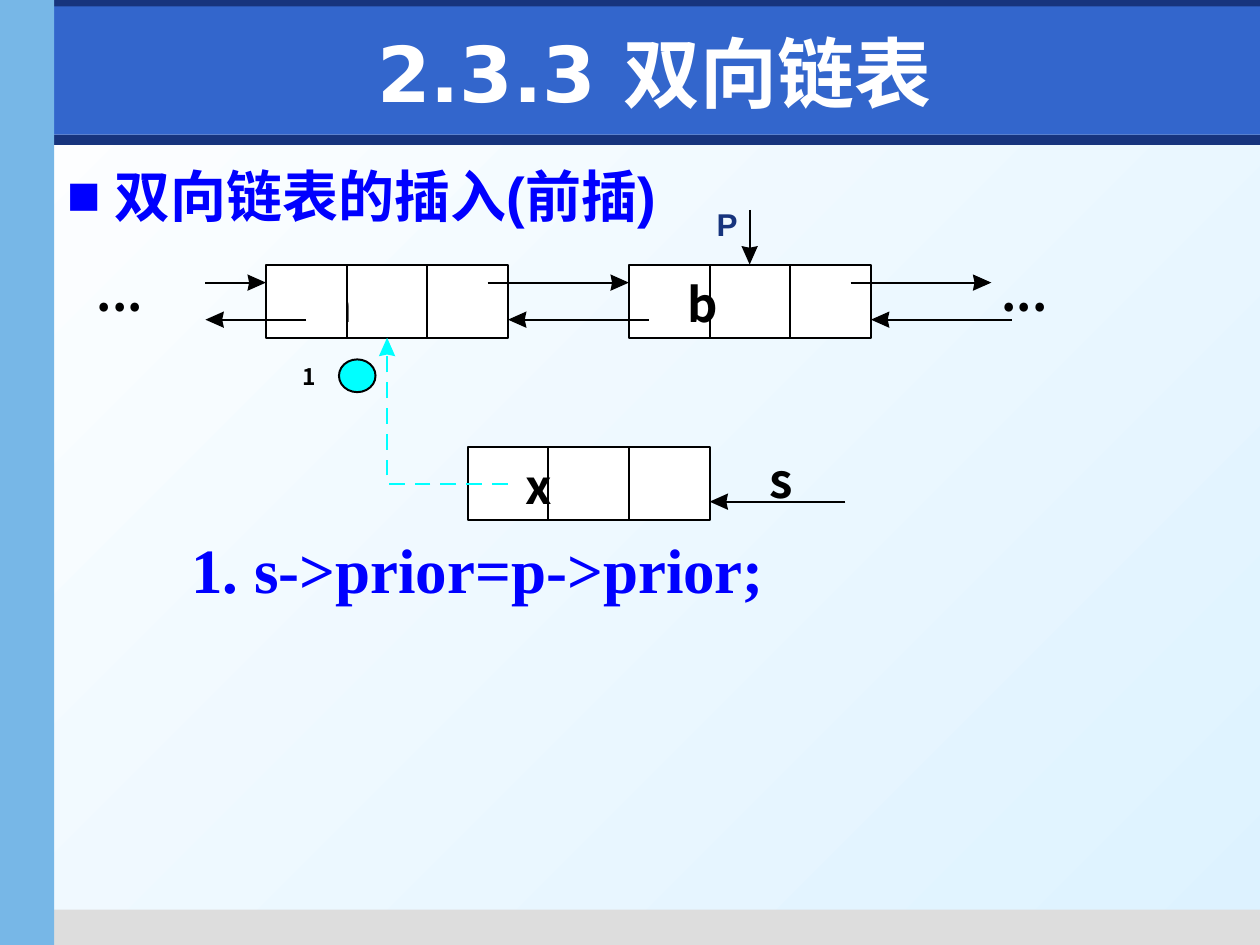
from lxml import etree
from pptx import Presentation
from pptx import util as u
from pptx.dml.color import RGBColor
from pptx.enum import shapes, text
from pptx.oxml import ns

Pt = u.Pt
THEME = {
    "navy": "17347D", "blue": "3366CC", "sky": "77B7E7", "grey": "DDDDDD",
    "ink": "0000FF", "black": "000000", "white": "FFFFFF", "cyan": "00FFFF",
    "pale": "DDF2FF",
    "head": ("DejaVu Sans", 44), "list": ("Arial", 32),
    "code": ("Times New Roman", 36), "label": ("Noto Sans CJK SC", 27),
    "step": ("Noto Sans CJK SC", 13), "mark": ("Arial", 18),
    "asian": "Noto Sans CJK SC", "line": 1.13,
}

TITLE = "2.3.3 双向链表"
TOPIC = "双向链表的插入(前插)"
# left, top, width, height, colour
BARS = [
    (2.9, 77, 717.1, 5.8, "navy"), (25, 519.8, 695, 20.2, "grey"),
    (0, -2, 720, 17, "navy"), (31, 3.6, 689, 73.4, "blue"),
    (0, 0, 31, 540, "sky"),
]
CELL_W, CELL_H = 46.1, 41.8
ROW, LOW, LEFT = 151.2, 255.6, 152
# offset in cells, top, letter, drawing order of cells and letter
NODES = [
    (0, ROW, "a", (1, "letter", 0, 2)),
    (4.5, ROW, "b", (0, 1, "letter", 2)),
    (2.5, LOW, "x", (0, 1, "letter", 2)),
]
NEXT, PRIOR = 161.5, 182.7
# start and tip of each pointer
ARROWS = [
    ((117.4, NEXT), (152, NEXT)), ((175, PRIOR), (117.4, PRIOR)),
    ((278.6, NEXT), (359.4, NEXT)), ((370.8, PRIOR), (290.3, PRIOR)),
    ((486, NEXT), (566.5, NEXT)), ((578.2, PRIOR), (497.7, PRIOR)),
    ((428.4, 120), (428.4, ROW)), ((483.1, 286.7), (405.5, 286.7)),
]
NEW_LINK = [(290.2, 276.4), (221.2, 276.4), (221.2, 200)]
LINK_TIP = (221.2, 193)
STEP = (193.7, 205.4, 20.9, 18.7)
# words, left, top, width, height, style, colour, side and top margin
LABELS = [
    ("1. s->prior=p->prior;", 102.2, 299.5, 342, 50.4, "code", "ink", (7.2, 3.6)),
    ("...", 572.4, ROW, 77, 32.4, "label", "black", (0, 0)),
    ("...", 55.4, ROW, 77, 32.4, "label", "black", (0, 0)),
    ("1", 172.8, 207.4, 61.2, 15.8, "step", "black", (0, 0)),
    ("s", 439.9, 257.8, 67.7, 32.4, "label", "black", (0, 0)),
    ("P", 402.5, 113.8, 25.9, 28.8, "mark", "navy", (7.2, 3.6)),
]


def rgb(name):
    return RGBColor.from_string(THEME[name])


def sub(parent, tag, **attrs):
    return etree.SubElement(parent, ns.qn(tag), attrs)


def write(para, words, style, color):
    run = para.add_run()
    run.text = words
    font = run.font
    font.name, size = THEME[style]
    font.size, font.bold = Pt(size), True
    font.color.rgb = rgb(color)
    sub(font._element, "a:ea", typeface=THEME["asian"])


def paint(shape, fill=None, line=None):
    shape.shadow.inherit = False
    if fill:
        shape.fill.solid()
        shape.fill.fore_color.rgb = rgb(fill)
    else:
        shape.fill.background()
    if line:
        shape.line.color.rgb = rgb(line)
        shape.line.width = Pt(THEME["line"])
    else:
        shape.line.fill.background()


def add_box(slide, kind, box, fill, line=None):
    shape = slide.shapes.add_shape(kind, *map(Pt, box))
    paint(shape, fill, line)


def add_path(slide, dots, closed):
    dots = [(Pt(x), Pt(y)) for x, y in dots]
    path = slide.shapes.build_freeform(*dots[0])
    path.add_line_segments(dots[1:], close=closed)
    return path.convert_to_shape()


def add_head(slide, tip, way, color):
    """Draw a notched arrowhead pointing along the unit vector way."""
    (x, y), (dx, dy) = tip, way
    dots = [(x - back * dx - side * dy, y - back * dy + side * dx)
            for back, side in ((0, 0), (10.6, 4.7), (9.6, 0), (10.6, -4.7))]
    paint(add_path(slide, dots, True), color)


def add_arrow(slide, start, tip):
    gap = [b - a for a, b in zip(start, tip)]
    size = max(map(abs, gap))
    way = [g / size for g in gap]
    end = [t - 8 * w for t, w in zip(tip, way)]
    line = slide.shapes.add_connector(
        shapes.MSO_CONNECTOR.STRAIGHT, *map(Pt, (*start, *end)))
    line.line.color.rgb = rgb("black")
    line.line.width = Pt(THEME["line"])
    sub(line._element.spPr, "a:effectLst")
    add_head(slide, tip, way, "black")


def add_label(slide, words, x, y, w, h, style, color, pad):
    frame = slide.shapes.add_textbox(*map(Pt, (x, y, w, h))).text_frame
    frame.word_wrap = False
    frame.auto_size = text.MSO_AUTO_SIZE.SHAPE_TO_FIT_TEXT
    frame.margin_left = frame.margin_right = Pt(pad[0])
    frame.margin_top = frame.margin_bottom = Pt(pad[1])
    write(frame.paragraphs[0], words, style, color)


def add_node(slide, shift, top, letter, order):
    left = LEFT + shift * CELL_W
    for part in order:
        if part == "letter":
            add_label(slide, letter, left + 33.2, top + 5.8, 70.6, 32.4,
                      "label", "black", (0, 0))
        else:
            add_box(slide, shapes.MSO_SHAPE.RECTANGLE,
                    (left + part * CELL_W, top, CELL_W, CELL_H), "white", "black")


def add_link(slide):
    link = add_path(slide, NEW_LINK, False)
    paint(link, line="cyan")
    dash = sub(link.line._get_or_add_ln(), "a:custDash")
    sub(dash, "a:ds", d="800000", sp="500000")
    add_head(slide, LINK_TIP, (0, -1), "cyan")


def place(holder, box):
    holder.left, holder.top, holder.width, holder.height = map(Pt, box)
    frame = holder.text_frame
    frame.auto_size = text.MSO_AUTO_SIZE.NONE
    frame.word_wrap = True
    para = frame.paragraphs[0]
    para.space_before = Pt(0)
    return frame, para


def fill_title(holder):
    frame, para = place(holder, (42.5, 9.4, 663.1, 62.6))
    frame.vertical_anchor = text.MSO_ANCHOR.MIDDLE
    para.alignment = text.PP_ALIGN.CENTER
    write(para, TITLE, "head", "white")


def fill_body(holder):
    _, para = place(holder, (31, 88.6, 674.6, 424.8))
    props = para._p.get_or_add_pPr()
    props.set("marL", str(Pt(27)))
    props.set("indent", str(Pt(-27)))
    sub(sub(props, "a:buClr"), "a:srgbClr", val=THEME["ink"])
    sub(props, "a:buFont", typeface="Arial")
    sub(props, "a:buChar", char="■")
    write(para, TOPIC, "list", "ink")


def main():
    prs = Presentation()
    prs.slide_width, prs.slide_height = Pt(720), Pt(540)
    slide = prs.slides.add_slide(prs.slide_layouts[1])
    back = slide.background.fill
    back.gradient()
    back.gradient_angle = 315
    for stop, color in zip(back.gradient_stops, ("white", "pale")):
        stop.color.rgb = rgb(color)

    for *box, color in BARS:
        add_box(slide, shapes.MSO_SHAPE.RECTANGLE, box, color)
    for holder, fill in zip(list(slide.placeholders), (fill_title, fill_body)):
        fill(holder)
        slide.shapes._spTree.append(holder._element)  # in front of the bars

    for node in NODES:
        add_node(slide, *node)
    for start, tip in ARROWS:
        add_arrow(slide, start, tip)
    add_link(slide)
    add_box(slide, shapes.MSO_SHAPE.OVAL, STEP, "cyan", "black")
    for label in LABELS:
        add_label(slide, *label)
    prs.save("out.pptx")


if __name__ == "__main__":
    main()
